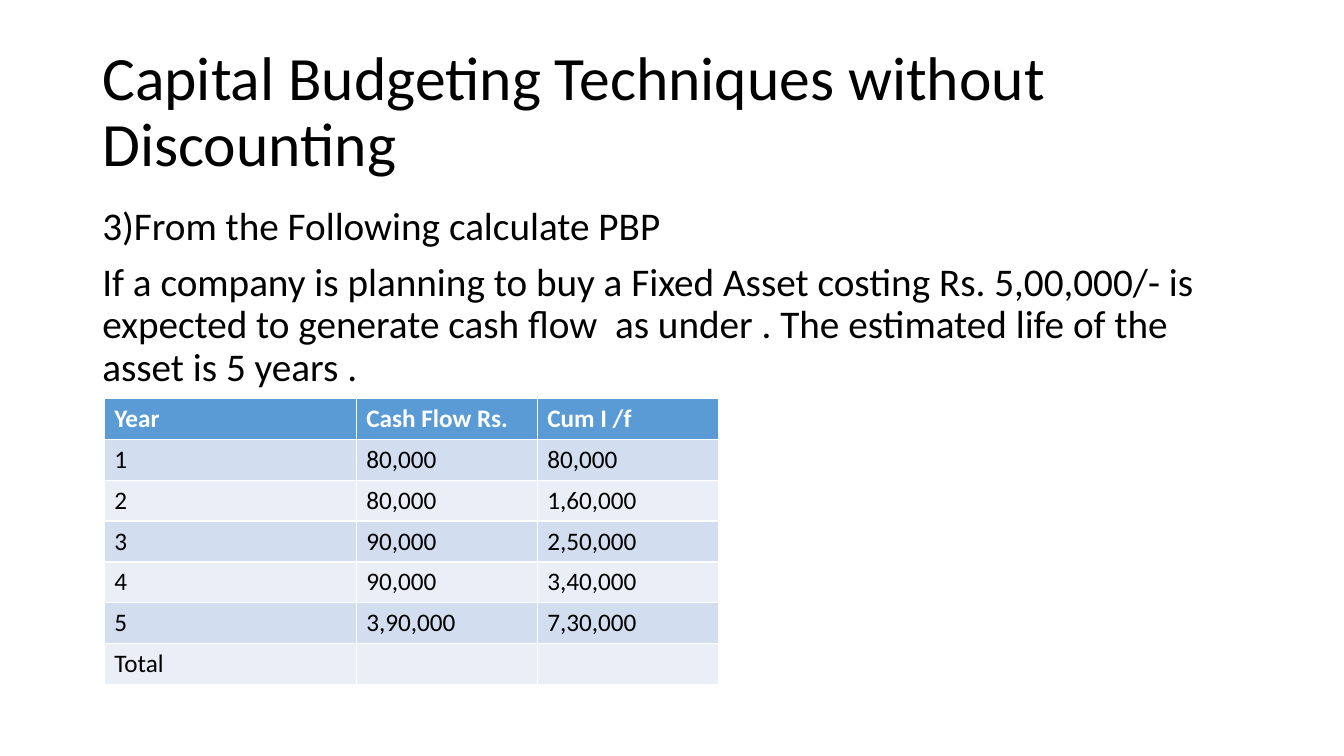
from dataclasses import dataclass

from pptx import Presentation
from pptx.dml.color import RGBColor
from pptx.enum.text import MSO_ANCHOR
from pptx.util import Pt

MIDDLE = MSO_ANCHOR.MIDDLE
TOP = MSO_ANCHOR.TOP


@dataclass
class Theme:
    font: str = "Calibri"
    ink: str = "000000"
    white: str = "FFFFFF"
    head: str = "5B9BD5"
    odd: str = "D2DEEF"
    even: str = "EAEFF7"
    title: int = 44
    body: int = 28
    cell: int = 18


theme = Theme()


def write(frame, *texts, size, color=theme.ink, bold=False, line=1.0, gap=0, anchor=TOP):
    frame.word_wrap = True
    frame.vertical_anchor = anchor
    for n, text in enumerate(texts):
        para = frame.paragraphs[0] if n == 0 else frame.add_paragraph()
        para.line_spacing = line
        para.space_before = Pt(gap if n else 0)
        run = para.add_run()
        run.text = text
        run.font.name = theme.font
        run.font.size = Pt(size)
        run.font.bold = bold
        run.font.color.rgb = RGBColor.from_string(color)


deck = Presentation()
deck.slide_width = Pt(960)
deck.slide_height = Pt(540)
slide = deck.slides.add_slide(deck.slide_layouts[6])

title = slide.shapes.add_textbox(Pt(66), Pt(28.75), Pt(828), Pt(104.4))
write(title.text_frame, "Capital Budgeting Techniques without Discounting",
      size=theme.title, line=0.9, anchor=MIDDLE)

body = slide.shapes.add_textbox(Pt(66), Pt(143.75), Pt(828), Pt(342.6))
write(body.text_frame,
      "3)From the Following calculate PBP",
      "If a company is planning to buy a Fixed Asset costing Rs. 5,00,000/- is "
      "expected to generate cash flow  as under . The estimated life of the "
      "asset is 5 years .",
      size=theme.body, line=0.9, gap=10)

rows = [
    ("Year", "Cash Flow Rs.", "Cum I /f"),
    ("1", "80,000", "80,000"),
    ("2", "80,000", "1,60,000"),
    ("3", "90,000", "2,50,000"),
    ("4", "90,000", "3,40,000"),
    ("5", "3,90,000", "7,30,000"),
    ("Total", "", ""),
]
widths = (180, 129.3, 129.3)
height = 29.2

grid = slide.shapes.add_table(len(rows), len(widths), Pt(74.5), Pt(284.6),
                              Pt(sum(widths)), Pt(height * len(rows))).table
for col, width in zip(grid.columns, widths):
    col.width = Pt(width)

for r, row in enumerate(rows):
    grid.rows[r].height = Pt(height)
    fill = theme.head if r == 0 else theme.odd if r % 2 else theme.even
    for c, text in enumerate(row):
        cell = grid.cell(r, c)
        cell.fill.solid()
        cell.fill.fore_color.rgb = RGBColor.from_string(fill)
        if text:
            write(cell.text_frame, text, size=theme.cell, bold=r == 0,
                  color=theme.ink if r else theme.white)

deck.save("out.pptx")
